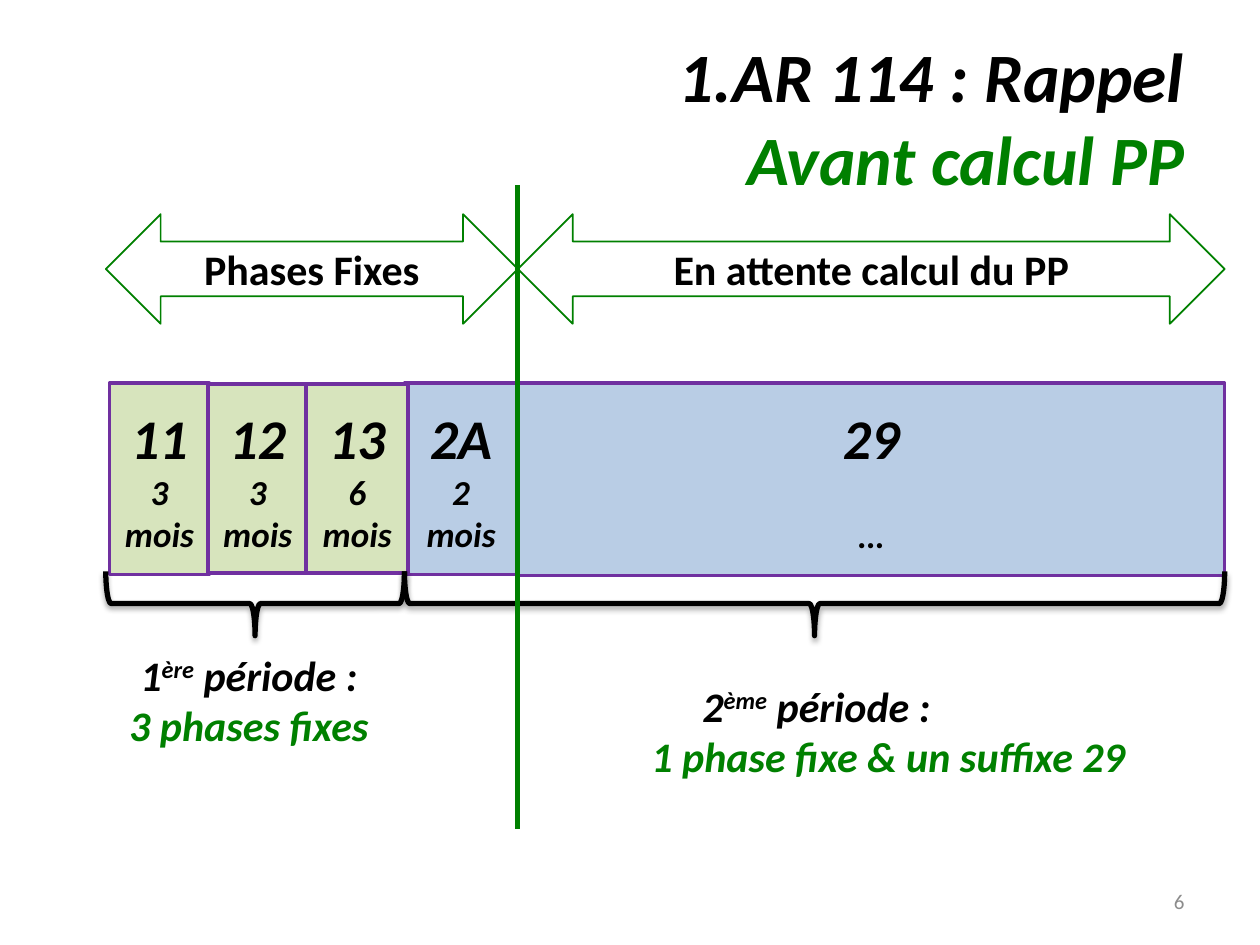
from lxml import etree
from pptx import Presentation
from pptx.dml.color import RGBColor
from pptx.enum import shapes, text
from pptx.oxml import ns
from pptx.util import Inches, Pt

COLORS = {
    "black": "000000", "green": "008000", "grey": "8C8C8C",
    "fixed": "D7E4BD", "waiting": "B9CDE5", "border": "7030A0",
}
BOLD_ITALIC = {"bold": True, "italic": True}
CENTER, RIGHT = text.PP_ALIGN.CENTER, text.PP_ALIGN.RIGHT
SPLIT_X, END_X = 4.11, 9.72


def rgb(name):
    return RGBColor.from_string(COLORS[name])


def add_run(p, words, size, color="black", raised=False, **style):
    r = p.add_run()
    r.text = words
    style = {"name": "Calibri", "size": Pt(size), **style}
    for key, value in style.items():
        setattr(r.font, key, value)
    r.font.color.rgb = rgb(color)
    if raised:
        r.font._element.set("baseline", "30000")


def prepare_frame(s):
    tf = s.text_frame
    tf.word_wrap = True
    tf.vertical_anchor = text.MSO_ANCHOR.MIDDLE
    return tf


def add_paragraph(tf, first=False, align=CENTER):
    p = tf.paragraphs[0] if first else tf.add_paragraph()
    p.alignment = align
    return p


def add_textbox(slide, box):
    return prepare_frame(slide.shapes.add_textbox(*map(Inches, box)))


def add_outline(slide, kind, box, line, width, fill=None):
    s = slide.shapes.add_shape(kind, *map(Inches, box))
    s.shadow.inherit = False
    if fill:
        s.fill.solid()
        s.fill.fore_color.rgb = rgb(fill)
    else:
        s.fill.background()
    s.line.color.rgb = rgb(line)
    s.line.width = Pt(width)
    return s


def add_title(slide):
    tf = add_textbox(slide, (0.5, 0.3, 9, 1.25))
    p = add_paragraph(tf, first=True, align=RIGHT)
    add_run(p, "1.AR 114 : Rappel", 39.6, **BOLD_ITALIC)
    p.add_line_break()
    add_run(p, "Avant calcul PP", 39.6, "green", **BOLD_ITALIC)


def add_page_number(slide, number):
    tf = add_textbox(slide, (7.17, 6.95, 2.33, 0.4))
    add_run(add_paragraph(tf, first=True, align=RIGHT), number, 12, "grey")


def add_phase(slide, box, fill, code, duration, gap=0):
    s = add_outline(slide, shapes.MSO_SHAPE.RECTANGLE, box, "border", 2, fill)
    tf = prepare_frame(s)
    add_run(add_paragraph(tf, first=True), code, 32, **BOLD_ITALIC)
    p = add_paragraph(tf)
    p.space_before = Pt(gap)
    add_run(p, duration, 20, **BOLD_ITALIC)


def add_brace(slide, left, right):
    """Horizontal brace pointing down: a left brace turned by 270 degrees."""
    span, depth, center_y = right - left, 0.51, 4.79
    box = ((left + right - depth) / 2, center_y - span / 2, depth, span)
    s = add_outline(slide, shapes.MSO_SHAPE.LEFT_BRACE, box, "black", 3)
    s.rotation = 270
    effects = s._element.spPr.find(ns.qn("a:effectLst"))
    shadow = etree.SubElement(
        effects, ns.qn("a:outerShdw"), blurRad=str(Pt(3.1)),
        dist=str(Pt(1.8)), dir="5400000", rotWithShape="0")
    color = etree.SubElement(shadow, ns.qn("a:srgbClr"), val=COLORS["black"])
    etree.SubElement(color, ns.qn("a:alpha"), val="35000")


def add_period(slide, box, number, suffix, summary, indent=0):
    tf = add_textbox(slide, box)
    p = add_paragraph(tf, first=True)
    add_run(p, number, 24, **BOLD_ITALIC)
    add_run(p, suffix, 24, raised=True, **BOLD_ITALIC)
    add_run(p, " période :", 24, **BOLD_ITALIC)
    p = add_paragraph(tf)
    p._p.get_or_add_pPr().set("marL", str(Inches(indent)))
    add_run(p, summary, 24, "green", **BOLD_ITALIC)


def add_divider(slide):
    line = slide.shapes.add_connector(
        shapes.MSO_CONNECTOR.STRAIGHT,
        *map(Inches, (SPLIT_X, 1.47, SPLIT_X, 6.58)))
    line.line.color.rgb = rgb("green")
    line.line.width = Pt(3)
    etree.SubElement(line._element.spPr, ns.qn("a:effectLst"))


def add_span_arrow(slide, left, right, label):
    s = add_outline(slide, shapes.MSO_SHAPE.LEFT_RIGHT_ARROW,
                    (left, 1.7, right - left, 0.87), "green", 1)
    p = add_paragraph(prepare_frame(s), first=True)
    add_run(p, label, 24, bold=True)


def main():
    prs = Presentation()
    prs.slide_width, prs.slide_height = Inches(10), Inches(7.5)
    slide = prs.slides.add_slide(prs.slide_layouts[6])

    add_title(slide)
    add_page_number(slide, "6")
    phases = [
        ((0.87, 3.04, 0.79, 1.52), "fixed", "11", "3 mois"),
        ((3.21, 3.04, 0.9, 1.52), "waiting", "2A", "2 mois"),
        ((SPLIT_X, 3.04, END_X - SPLIT_X, 1.53), "waiting", "29", "…", 24),
        ((1.65, 3.05, 0.79, 1.5), "fixed", "12", "3 mois"),
        ((2.43, 3.05, 0.81, 1.5), "fixed", "13", "6 mois"),
    ]
    for phase in phases:
        add_phase(slide, *phase)
    for left, right in ((0.84, 3.21), (3.21, END_X)):
        add_brace(slide, left, right)
    add_period(slide, (0.32, 5.31, 3.31, 0.49), "1", "ère",
               "3 phases fixes")
    add_period(slide, (3.68, 5.3, 5.6, 1), "2", "ème",
               "1 phase fixe & un suffixe 29", indent=1.14)
    add_divider(slide)
    add_span_arrow(slide, 0.84, SPLIT_X, "Phases Fixes")
    add_span_arrow(slide, SPLIT_X, END_X, "En attente calcul du PP")
    prs.save("out.pptx")


if __name__ == "__main__":
    main()
